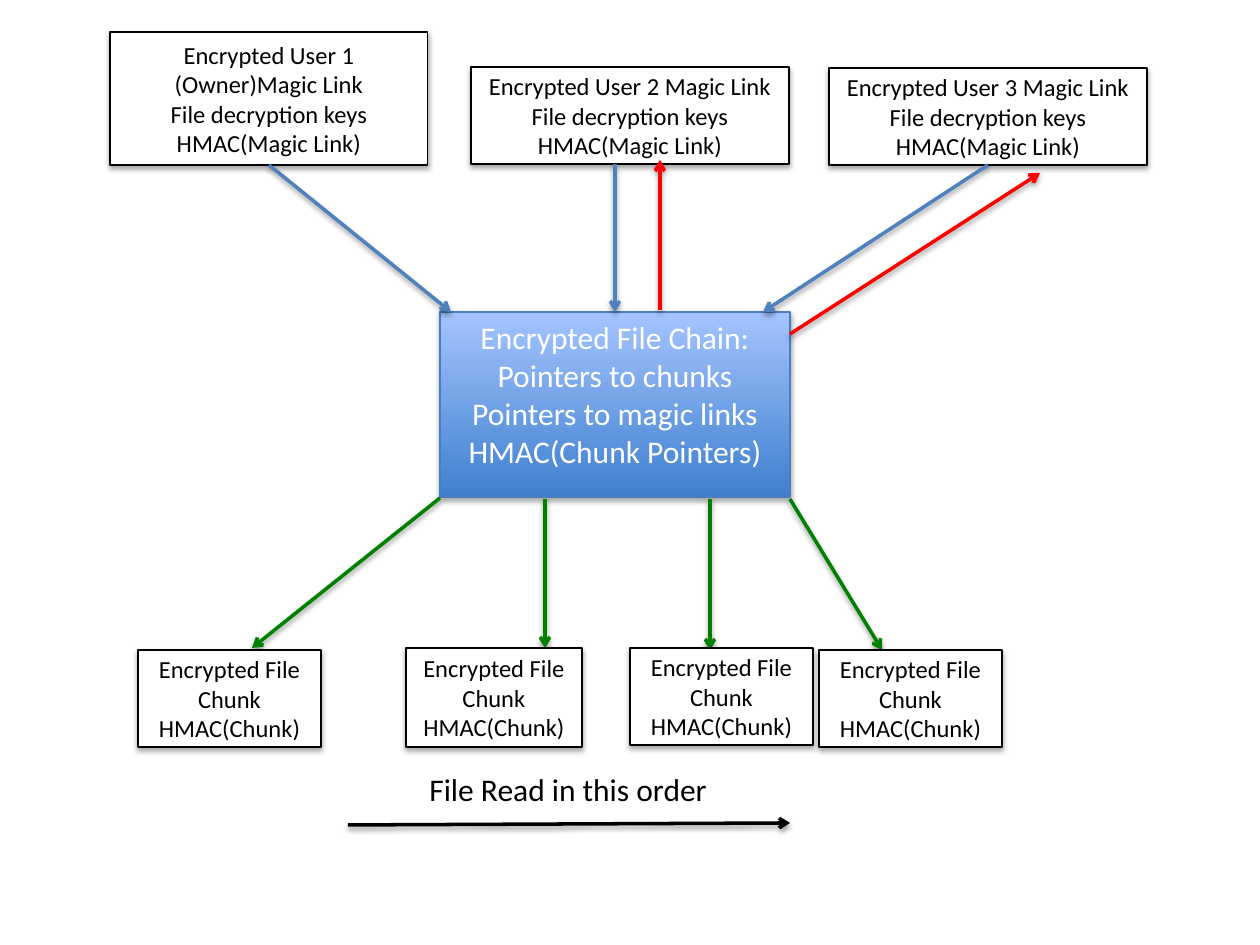
from lxml import etree
from pptx import Presentation
from pptx import util as u
from pptx.dml.color import RGBColor
from pptx.enum import shapes, text
from pptx.oxml import ns

EMU_PER_PX = 914400 / 126
BOTTOM, TOP = 2, 0
BLUE, GREEN, RED, BLACK, WHITE = "4F81BD", "008000", "FF0000", "000000", "FFFFFF"


def px(length):
    return u.Emu(round(length * EMU_PER_PX))


def colour(hex_value):
    return RGBColor.from_string(hex_value)


def add_shadow(shape, distance, opacity):
    """Give the shape a soft black shadow straight below it."""
    properties = shape._element.spPr
    effects = etree.SubElement(properties, ns.qn("a:effectLst"))
    shadow = etree.SubElement(effects, ns.qn("a:outerShdw"), blurRad="40000",
                              dist=str(distance), dir="5400000", rotWithShape="0")
    black = etree.SubElement(shadow, ns.qn("a:srgbClr"), val=BLACK)
    etree.SubElement(black, ns.qn("a:alpha"), val=str(opacity * 1000))


def write_lines(frame, lines, size, hex_value, align):
    frame.word_wrap = True
    for number, line in enumerate(lines):
        paragraph = frame.paragraphs[0] if number == 0 else frame.add_paragraph()
        paragraph.alignment = align
        run = paragraph.add_run()
        run.text = line
        run.font.color.rgb = colour(hex_value)
        for name, value in {"name": "Calibri", "size": u.Pt(size)}.items():
            setattr(run.font, name, value)


def add_box(slide, bounds, lines, size=14, text_colour=BLACK, outline=BLACK,
            gradient=None, anchor=text.MSO_ANCHOR.MIDDLE):
    box = slide.shapes.add_shape(shapes.MSO_SHAPE.RECTANGLE, *map(px, bounds))
    if gradient:
        box.fill.gradient()
        box.fill.gradient_angle = 90
        for stop, hex_value in zip(box.fill.gradient_stops, gradient):
            stop.color.rgb = colour(hex_value)
    else:
        box.fill.solid()
        box.fill.fore_color.rgb = colour(WHITE)
    box.line.color.rgb = colour(outline)
    box.line.width = u.Pt(0.75)
    add_shadow(box, 23000, 35)
    box.text_frame.vertical_anchor = anchor
    write_lines(box.text_frame, lines, size, text_colour, text.PP_ALIGN.CENTER)
    return box


def add_arrow(slide, ends, hex_value):
    arrow = slide.shapes.add_connector(shapes.MSO_CONNECTOR.STRAIGHT, *map(px, ends))
    arrow.line.color.rgb = colour(hex_value)
    arrow.line.width = u.Pt(2)
    etree.SubElement(arrow.line._get_or_add_ln(), ns.qn("a:tailEnd"), type="arrow")
    add_shadow(arrow, 20000, 38)
    return arrow


def add_label(slide, bounds, line):
    label = slide.shapes.add_textbox(*map(px, bounds))
    write_lines(label.text_frame, [line], 18, BLACK, text.PP_ALIGN.LEFT)
    label.text_frame.auto_size = text.MSO_AUTO_SIZE.SHAPE_TO_FIT_TEXT


def main():
    deck = Presentation()
    deck.slide_width, deck.slide_height = px(1260), px(945)
    slide = deck.slides.add_slide(deck.slide_layouts[6])

    file_chain = add_box(
        slide, (440, 312, 350, 185),
        ["Encrypted File Chain:", "Pointers to chunks", "Pointers to magic links",
         "HMAC(Chunk Pointers)"],
        size=18, text_colour=WHITE, outline="4B7EBC",
        gradient=("3F80CE", "A4C4FF"), anchor=text.MSO_ANCHOR.TOP)

    for chunk_pointer in [(440, 498, 252, 648), (545, 499, 545, 648),
                          (710, 499, 710, 650), (790, 499, 882, 650)]:
        add_arrow(slide, chunk_pointer, GREEN)

    for bounds in [(138, 650, 183, 97), (406, 648, 176, 99),
                   (630, 648, 183, 97), (819, 650, 183, 97)]:
        add_box(slide, bounds, ["Encrypted File Chunk", "HMAC(Chunk)"])

    users = [("User 1 (Owner)Magic Link", (110, 32, 318, 133)),
             ("User 2 Magic Link", (471, 67, 318, 97)),
             ("User 3 Magic Link", (829, 68, 318, 97))]
    owner, _, third_user = [
        add_box(slide, bounds, [f"Encrypted {user}", "File decryption keys",
                                "HMAC(Magic Link)"])
        for user, bounds in users]

    add_arrow(slide, (269, 165, 451, 312), BLUE).begin_connect(owner, BOTTOM)
    add_arrow(slide, (615, 164, 615, 312), BLUE).end_connect(file_chain, TOP)
    add_arrow(slide, (988, 165, 763, 312), BLUE).begin_connect(third_user, BOTTOM)
    for magic_link_pointer in [(660, 310, 660, 160), (790, 334, 1040, 173)]:
        add_arrow(slide, magic_link_pointer, RED)

    add_arrow(slide, (348, 825, 790, 823), BLACK)
    add_label(slide, (417, 764, 330, 50), "File Read in this order")
    deck.save("out.pptx")


if __name__ == "__main__":
    main()
